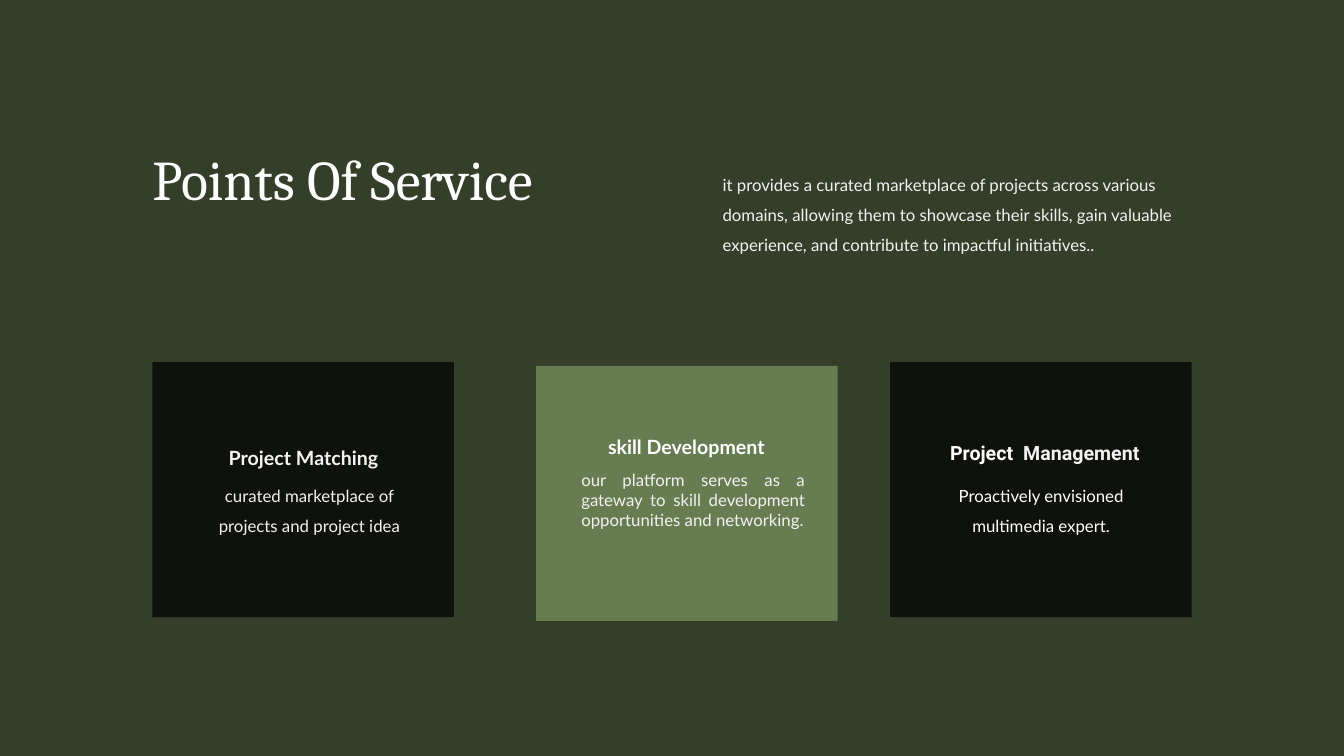
from pptx import Presentation
from pptx.dml.color import RGBColor
from pptx.enum.shapes import MSO_SHAPE
from pptx.enum.text import MSO_ANCHOR, MSO_AUTO_SIZE, PP_ALIGN
from pptx.oxml.ns import qn
from pptx.util import Cm, Pt
from lxml import etree

RECTANGLE = MSO_SHAPE.RECTANGLE
TOP, MIDDLE = MSO_ANCHOR.TOP, MSO_ANCHOR.MIDDLE
NO_AUTOFIT = MSO_AUTO_SIZE.NONE
LEFT, CENTER, JUSTIFY = PP_ALIGN.LEFT, PP_ALIGN.CENTER, PP_ALIGN.JUSTIFY

BACKGROUND, BLACK, GREEN = "343E29", "000000", "687C51"
WHITE, PALE = "FFFFFF", "F2F2F2"
TITLE_FONT, BODY_FONT, ACCENT_FONT = "Cambria", "Lato", "Roboto"
CARD_WIDTH, CARD_HEIGHT, TEXT_WIDTH = 7.6, 6.43, 5.64

CARDS = [
    {
        "at": (3.84, 9.12), "fill": BLACK, "opacity": 70,
        "heading": [("Project Matching", PALE)], "heading_font": BODY_FONT,
        "heading_box": (0.99, 2.11, TEXT_WIDTH, 0.6),
        "body": [("curated marketplace of projects and project idea", PALE)],
        "body_box": (1.14, 2.87, TEXT_WIDTH, 1.45),
        "align": CENTER, "spacing": 1.5,
    },
    {
        "at": (13.51, 9.22), "fill": GREEN, "opacity": 100,
        "heading": [("skill Development", WHITE)], "heading_font": BODY_FONT,
        "heading_box": (0.97, 1.73, TEXT_WIDTH, 0.6),
        "body": [("our platform serves as a gateway to skill development "
                  "opportunities and networking.", PALE)],
        "body_box": (1.14, 2.62, TEXT_WIDTH, 1.55),
        "align": JUSTIFY, "spacing": 1.0,
    },
    {
        "at": (22.43, 9.12), "fill": BLACK, "opacity": 70,
        "heading": [("Project  ", WHITE), ("Management", PALE)],
        "heading_font": ACCENT_FONT,
        "heading_box": (0.74, 1.98, 6.32, 0.6),
        "body": [("Proactively envisioned multimedia expert.", WHITE)],
        "body_box": (0.99, 2.87, TEXT_WIDTH, 1.45),
        "align": CENTER, "spacing": 1.5,
    },
]


def colour(value):
    return RGBColor.from_string(value)


def write(shape, spans, font, size, bold=False, align=LEFT, spacing=1.0, anchor=TOP):
    frame = shape.text_frame
    frame.word_wrap = True
    frame.auto_size = NO_AUTOFIT
    frame.vertical_anchor = anchor
    frame.margin_left = frame.margin_right = 0
    frame.margin_top = frame.margin_bottom = 0
    para = frame.paragraphs[0]
    para.alignment = align
    para.line_spacing = spacing
    para.space_before = Pt(0)
    for text, ink in spans:
        span = para.add_run()
        span.text = text
        span.font.name = font
        span.font.size = Pt(size)
        span.font.bold = bold
        span.font.color.rgb = colour(ink)


def add_text(page, box, spans, font, size, **style):
    shape = page.shapes.add_textbox(*map(Cm, box))
    write(shape, spans, font, size, **style)


def add_title(page, box):
    title = page.shapes.title
    title.left, title.top, title.width, title.height = map(Cm, box)
    write(title, [("Points Of Service", WHITE)], TITLE_FONT, 40,
          spacing=Pt(44), anchor=MIDDLE)


def add_introduction(page, box):
    text = ("it provides a curated marketplace of projects across various domains, "
            "allowing them to showcase their skills, gain valuable experience, "
            "and contribute to impactful initiatives..")
    add_text(page, box, [(text, PALE)], BODY_FONT, 12, spacing=1.5)


def add_panel(page, box, fill, opacity):
    panel = page.shapes.add_shape(RECTANGLE, *map(Cm, box))
    panel.shadow.inherit = False
    panel.line.fill.background()
    panel.fill.solid()
    panel.fill.fore_color.rgb = colour(fill)
    if opacity < 100:
        tint = panel.fill._xPr.find(qn("a:solidFill"))[0]
        etree.SubElement(tint, qn("a:alpha")).set("val", str(opacity * 1000))


def add_card(page, box, card):
    left, top = box[:2]

    def inside(part):
        across, down, width, height = part
        return left + across, top + down, width, height

    add_panel(page, box, card["fill"], card["opacity"])
    add_text(page, inside(card["heading_box"]), card["heading"],
             card["heading_font"], 14, bold=True, align=CENTER)
    add_text(page, inside(card["body_box"]), card["body"],
             BODY_FONT, 12, align=card["align"], spacing=card["spacing"])


def main():
    deck = Presentation()
    deck.slide_width, deck.slide_height = Cm(33.87), Cm(19.05)
    page = deck.slides.add_slide(deck.slide_layouts.get_by_name("Title Only"))
    page.background.fill.solid()
    page.background.fill.fore_color.rgb = colour(BACKGROUND)
    add_title(page, (3.84, 3.78, 11.84, 1.57))
    add_introduction(page, (18.21, 4.14, 12.27, 2.24))
    for card in CARDS:
        add_card(page, (*card["at"], CARD_WIDTH, CARD_HEIGHT), card)
    deck.save("out.pptx")


if __name__ == "__main__":
    main()
